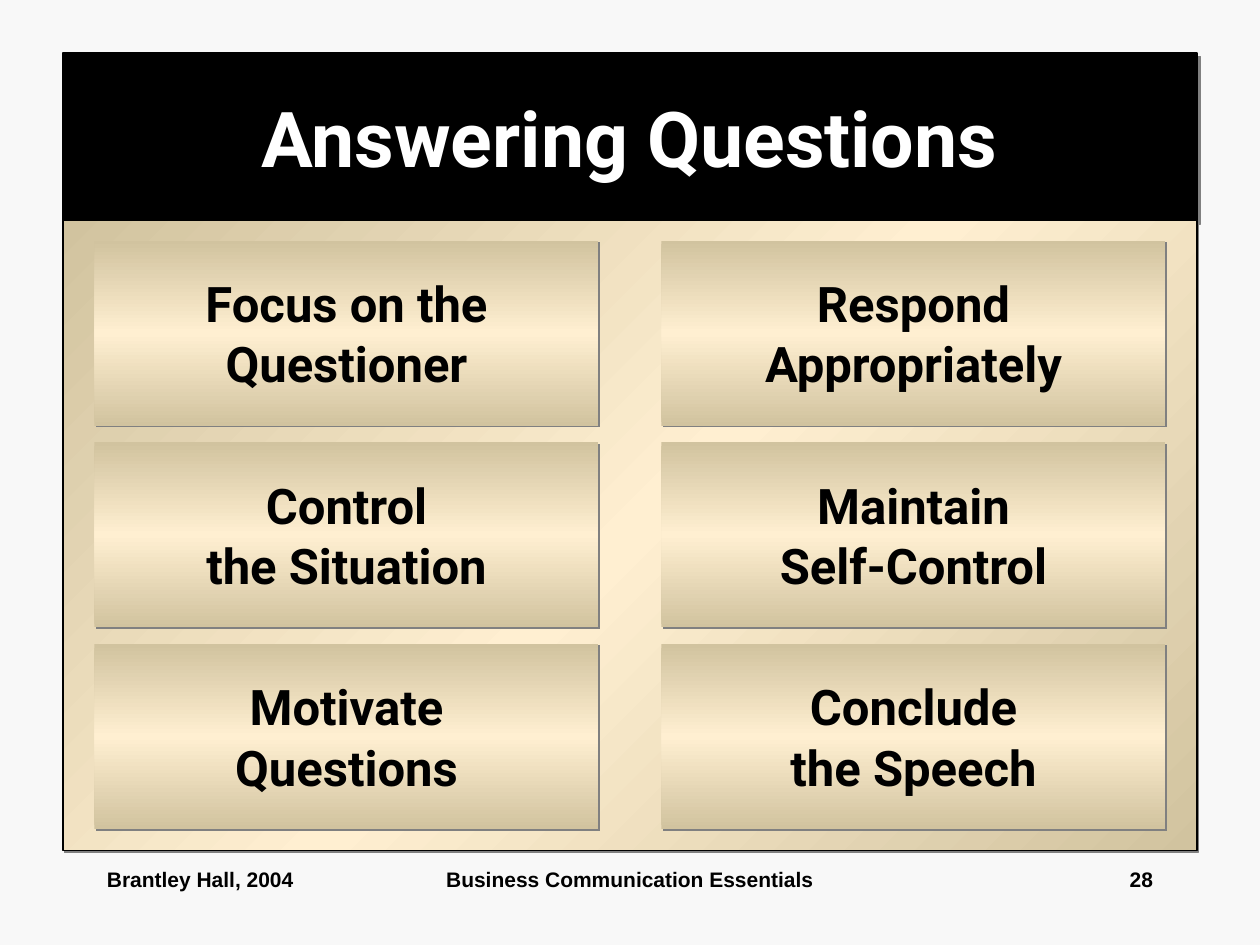
from copy import deepcopy
from lxml.etree import SubElement as Sub
from pptx import Presentation
from pptx.dml.color import RGBColor
from pptx.enum.shapes import MSO_SHAPE as Form
from pptx.enum.text import MSO_ANCHOR as Anchor, MSO_AUTO_SIZE as Auto, PP_ALIGN as Align
from pptx.oxml.ns import qn
from pptx.util import Inches, Pt

GOLD = ("D1C39F", "FFEFD1", "D1C39F")
COLUMNS = (
    ("Focus on the\nQuestioner", "Control\nthe Situation", "Motivate\nQuestions"),
    ("Respond\nAppropriately", "Maintain\nSelf-Control", "Conclude\nthe Speech"),
)
FOOTER = (
    ("Business Communication Essentials", 3.42, 3.16, Align.CENTER),
    ("28", 7.17, 2.08, Align.RIGHT),
    ("Brantley Hall, 2004", 0.75, 2.08, Align.LEFT),
)


def color(code):
    """Return the colour for a hex string."""
    return RGBColor.from_string(code)


def write(shape, text, size, font="Roboto", ink="000000", align=Align.CENTER,
          anchor=Anchor.MIDDLE, wrap=True):
    """Fill a shape with bold text, one paragraph per line."""
    frame = shape.text_frame
    frame.text = text
    frame.auto_size = Auto.NONE
    frame.word_wrap = wrap
    frame.vertical_anchor = anchor
    for para in frame.paragraphs:
        para.alignment = align
        para.space_before = para.space_after = Pt(0.4)
        style = para.runs[0].font
        style.name, style.size, style.bold = font, Pt(size), True
        style.color.rgb = color(ink)


def place(shape, left, top, width, height):
    """Set the place and size of a shape in inches."""
    shape.left, shape.top = Inches(left), Inches(top)
    shape.width, shape.height = Inches(width), Inches(height)


def shade(shape, dist):
    """Give a shape a hard grey shadow to the lower right."""
    shape.shadow.inherit = False
    effects = shape._element.spPr.find(qn("a:effectLst"))
    outer = Sub(effects, qn("a:outerShdw"), dist=str(Pt(dist)), dir="2700000",
                algn="ctr", rotWithShape="0")
    Sub(outer, qn("a:srgbClr"), val="808080")


def border(shape):
    """Outline a shape in thin black."""
    shape.line.color.rgb = color("000000")
    shape.line.width = Pt(0.75)


def panel(slide, left, top, width, height, angle):
    """Add a gold gradient rectangle without an outline."""
    shape = slide.shapes.add_shape(Form.RECTANGLE, Inches(left), Inches(top),
                                   Inches(width), Inches(height))
    shape.fill.gradient()
    shape.fill.gradient_angle = angle
    stops = shape._element.spPr.find(".//" + qn("a:gsLst"))
    stops.append(deepcopy(stops[0]))
    for i, (stop, code) in enumerate(zip(shape.fill.gradient_stops, GOLD)):
        stop.position = i / 2
        stop.color.rgb = color(code)
    shape.line.fill.background()
    shade(shape, 1.4)
    return shape


def head(slide, text):
    """Format the title as a black banner."""
    title = slide.shapes.title
    place(title, 0.5, 0.42, 9, 1.33)
    title.fill.solid()
    title.fill.fore_color.rgb = color("000000")
    border(title)
    shade(title, 2.8)
    write(title, text, 44, ink="FFFFFF")


def label(slide, text, left, width, align):
    """Add one footer text box."""
    box = slide.shapes.add_textbox(Inches(left), Inches(6.83),
                                   Inches(width), Inches(0.49))
    write(box, text, 12, font="Arial", align=align, anchor=Anchor.TOP)


def main():
    """Build the slide and save it."""
    deck = Presentation()
    deck.slide_width, deck.slide_height = Inches(10), Inches(7.5)
    slide = deck.slides.add_slide(deck.slide_layouts[5])
    slide.background.fill.solid()
    slide.background.fill.fore_color.rgb = color("F8F8F8")
    head(slide, "Answering Questions")
    border(panel(slide, 0.5, 1.75, 9, 5, 135))
    for col, texts in enumerate(COLUMNS):
        for row, text in enumerate(texts):
            card = panel(slide, 0.75 + 4.5 * col, 1.91 + 1.6 * row, 4, 1.47, 270)
            write(card, text, 28, wrap=False)
    for item in FOOTER:
        label(slide, *item)
    deck.save("out.pptx")


if __name__ == "__main__":
    main()
